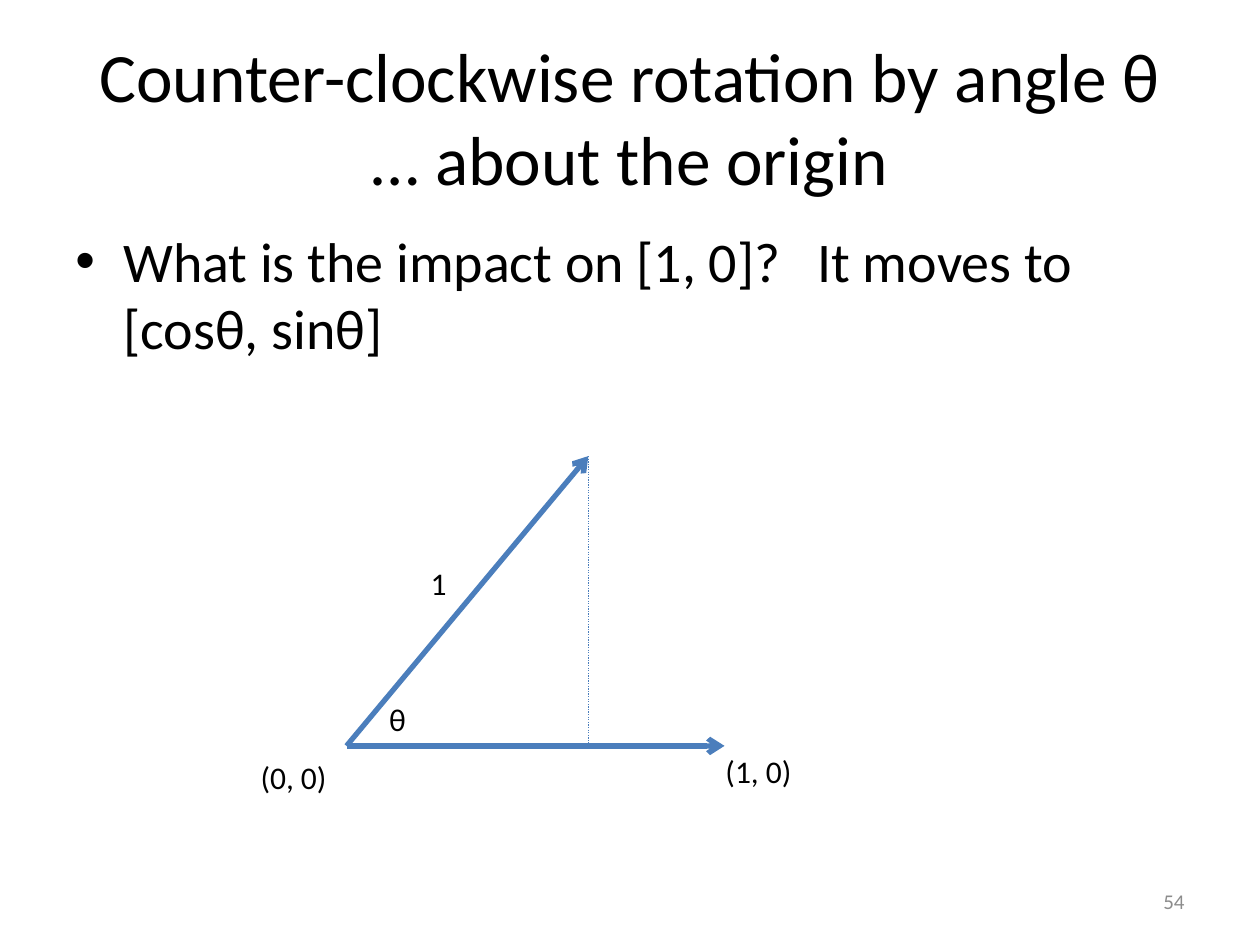
from lxml.etree import SubElement
from pptx import Presentation
from pptx.dml.color import RGBColor
from pptx.enum.dml import MSO_LINE
from pptx.enum.shapes import MSO_CONNECTOR
from pptx.enum.text import MSO_ANCHOR, MSO_AUTO_SIZE, PP_ALIGN
from pptx.oxml.ns import qn
from pptx.util import Inches, Pt

BLACK = RGBColor(0x00, 0x00, 0x00)
GREY = RGBColor(0x8C, 0x8C, 0x8C)
BLUE = RGBColor(0x4B, 0x7E, 0xBC)
FONT = "Calibri"


def place(sp, box):
    """Move a shape to a box of left, top, width and height in inches."""
    for name, value in zip(("left", "top", "width", "height"), box):
        setattr(sp, name, Inches(value))


def write(sp, text, size, color=BLACK, align=PP_ALIGN.LEFT, **frame):
    """Fill a shape with one formatted paragraph and return it."""
    tf = sp.text_frame
    frame_format = {"word_wrap": True, "auto_size": MSO_AUTO_SIZE.NONE,
                    "vertical_anchor": MSO_ANCHOR.TOP, **frame}
    for name, value in frame_format.items():
        setattr(tf, name, value)
    p = tf.paragraphs[0]
    p.alignment = align
    r = p.add_run()
    r.text = text
    for name, value in {"name": FONT, "size": Pt(size)}.items():
        setattr(r.font, name, value)
    r.font.color.rgb = color
    return p


def add_text(s, box, text, size, **formats):
    """Add a text box and return its paragraph."""
    sp = s.shapes.add_textbox(*map(Inches, box))
    return write(sp, text, size, **formats)


def add_title(s, box):
    """Place and fill the title placeholder."""
    place(s.shapes.title, box)
    write(s.shapes.title, "Counter-clockwise rotation by angle θ … about the origin",
          39.6, align=PP_ALIGN.CENTER, vertical_anchor=MSO_ANCHOR.MIDDLE)


def add_question(s, box):
    """Add the bulleted question, its answer set off by a tab stop."""
    p = add_text(s, box, "What is the impact on [1, 0]?\tIt moves to [cosθ, sinθ]", 32)
    pPr = p._p.get_or_add_pPr()
    for name, value in {"marL": 0.38, "indent": -0.38}.items():
        pPr.set(name, str(Inches(value)))
    SubElement(pPr, qn("a:buFont"), typeface="Arial")
    SubElement(pPr, qn("a:buChar"), char="•")
    tabs = SubElement(pPr, qn("a:tabLst"))
    SubElement(tabs, qn("a:tab"), pos=str(Inches(5.89)), algn="l")


def add_line(s, start, end, width, arrow=False, dash=None):
    """Add a straight line, with an arrowhead at its end if asked."""
    cxn = s.shapes.add_connector(MSO_CONNECTOR.STRAIGHT, *map(Inches, start + end))
    SubElement(cxn._element.spPr, qn("a:effectLst"))
    cxn.line.width = Pt(width)
    cxn.line.color.rgb = BLUE
    if dash:
        cxn.line.dash_style = dash
    if arrow:
        SubElement(cxn.line._get_or_add_ln(), qn("a:tailEnd"), type="arrow")


def add_rotation(s, box):
    """Draw the unit vector, its rotated image and the labels in a box."""
    left, top, width, height = box
    origin = (left, top + height)
    unit = (left + width, top + height)
    foot = (left + 0.64 * width, top + height)
    tip = (foot[0], top)
    for end in (unit, tip):
        add_line(s, origin, end, 3, arrow=True)
    add_line(s, tip, foot, 0.75, dash=MSO_LINE.ROUND_DOT)
    labels = (("(0, 0)", -0.26, 1.02, 0.73), ("(1, 0)", 0.97, 1, 0.73),
              ("θ", 0.08, 0.82, 0.33), ("1", 0.19, 0.35, 0.33))
    for text, x, y, label_width in labels:
        label = (left + x * width, top + y * height, label_width, 0.4)
        add_text(s, label, text, 18, word_wrap=False,
                 auto_size=MSO_AUTO_SIZE.SHAPE_TO_FIT_TEXT)


def add_number(s, box):
    """Add the slide number."""
    add_text(s, box, "54", 12, color=GREY, align=PP_ALIGN.RIGHT,
             vertical_anchor=MSO_ANCHOR.MIDDLE)


def main():
    """Build the slide and save it."""
    prs = Presentation()
    prs.slide_width, prs.slide_height = Inches(10), Inches(7.5)
    s = prs.slides.add_slide(prs.slide_layouts[5])
    add_title(s, (0.5, 0.3, 9, 1.25))
    add_question(s, (0.5, 1.75, 9, 4.95))
    add_rotation(s, (2.75, 3.62, 3, 2.3))
    add_number(s, (7.17, 6.95, 2.33, 0.4))
    prs.save("out.pptx")


if __name__ == "__main__":
    main()
